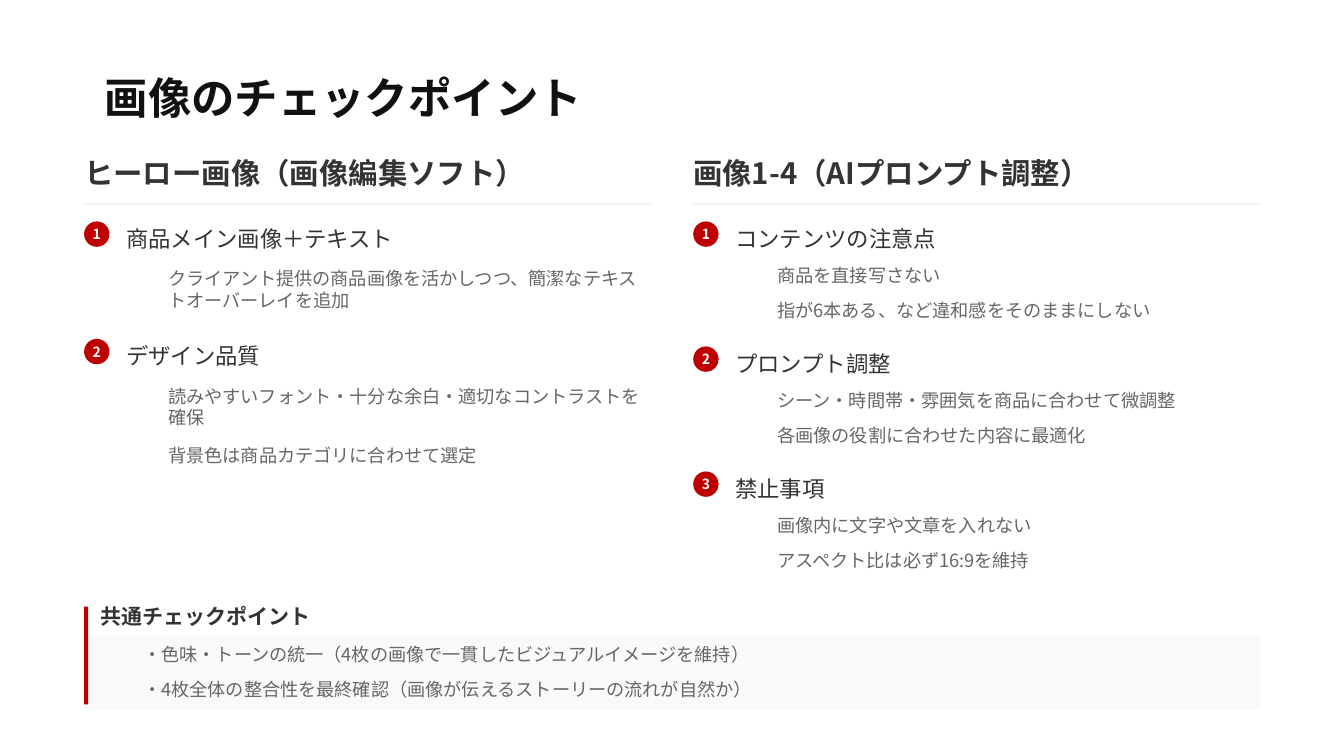
from lxml.etree import SubElement
from pptx import Presentation
from pptx.dml.color import RGBColor
from pptx.enum.shapes import MSO_SHAPE
from pptx.enum.text import MSO_ANCHOR, PP_ALIGN
from pptx.oxml.ns import qn
from pptx.util import Cm, Pt

FONT = "Noto Sans CJK JP"
WHITE = RGBColor(0xFF, 0xFF, 0xFF)
BLACK = RGBColor(0x11, 0x11, 0x11)
DARK = RGBColor(0x33, 0x33, 0x33)
GRAY = RGBColor(0x66, 0x66, 0x66)
RULE = RGBColor(0xF0, 0xF0, 0xF0)
PANEL = RGBColor(0xF9, 0xF9, 0xF9)
RED = RGBColor(0xBF, 0x00, 0x00)

MARGIN = 2.12
COLUMN_WIDTH = 14.28
COLUMN_PITCH = 15.35
INDENT = 1.06
DETAIL_SIZE = 13
DETAIL_MAX_WIDTH = 12.24
LINE_HEIGHT = 0.69
DETAIL_GAP = 0.19

COLUMNS = [
    ("ヒーロー画像（画像編集ソフト）", [
        ("商品メイン画像＋テキスト",
         ["クライアント提供の商品画像を活かしつつ、簡潔なテキストオーバーレイを追加"]),
        ("デザイン品質",
         ["読みやすいフォント・十分な余白・適切なコントラストを確保",
          "背景色は商品カテゴリに合わせて選定"]),
    ]),
    ("画像1-4（AIプロンプト調整）", [
        ("コンテンツの注意点",
         ["商品を直接写さない", "指が6本ある、など違和感をそのままにしない"]),
        ("プロンプト調整",
         ["シーン・時間帯・雰囲気を商品に合わせて微調整",
          "各画像の役割に合わせた内容に最適化"]),
        ("禁止事項",
         ["画像内に文字や文章を入れない", "アスペクト比は必ず16:9を維持"]),
    ]),
]
COMMON_CHECKS = [
    "・色味・トーンの統一（4枚の画像で一貫したビジュアルイメージを維持）",
    "・4枚全体の整合性を最終確認（画像が伝えるストーリーの流れが自然か）",
]


def text_width(text, size):
    """Return the width in centimetres of full-width text plus one character."""
    return (len(text) + 1) * size * 2.54 / 72


def write_text(shape, text, size=DETAIL_SIZE, color=GRAY, bold=False, align=PP_ALIGN.LEFT):
    """Fill a shape with one formatted, vertically centred paragraph."""
    frame = shape.text_frame
    frame.word_wrap = True
    frame.vertical_anchor = MSO_ANCHOR.MIDDLE
    frame.margin_left = frame.margin_right = frame.margin_top = frame.margin_bottom = 0
    paragraph = frame.paragraphs[0]
    paragraph.alignment = align
    run = paragraph.add_run()
    run.text = text
    run.font.name = FONT
    run.font.size = Pt(size)
    run.font.bold = bold
    run.font.color.rgb = color
    SubElement(run.font._element, qn("a:ea"), typeface=FONT)


def add_text(slide, text, left, top, height, width=None, size=DETAIL_SIZE, **style):
    """Add a text box, as wide as its text unless a width is given."""
    width = width or text_width(text, size)
    box = slide.shapes.add_textbox(Cm(left), Cm(top), Cm(width), Cm(height))
    write_text(box, text, size=size, **style)


def add_block(slide, left, top, width, height, color, kind=MSO_SHAPE.RECTANGLE):
    """Add a plain filled shape without outline or shadow."""
    shape = slide.shapes.add_shape(kind, Cm(left), Cm(top), Cm(width), Cm(height))
    shape.shadow.inherit = False
    shape.fill.solid()
    shape.fill.fore_color.rgb = color
    shape.line.fill.background()
    return shape


def add_item(slide, left, top, number, label, details):
    """Add a numbered item with its details and return the top of the next item."""
    badge = add_block(slide, left, top, 0.64, 0.64, RED, MSO_SHAPE.OVAL)
    write_text(badge, str(number), size=10, color=WHITE, bold=True, align=PP_ALIGN.CENTER)
    add_text(slide, label, left + INDENT, top, 0.85, size=16, color=DARK)
    top += 1.02
    for detail in details:
        natural_width = text_width(detail, DETAIL_SIZE)
        height = LINE_HEIGHT * (2 if natural_width > DETAIL_MAX_WIDTH else 1)
        add_text(slide, detail, left + 2 * INDENT, top, height,
                 width=min(natural_width, DETAIL_MAX_WIDTH))
        top += height + DETAIL_GAP
    return top + 0.37


def add_column(slide, left, top, heading, items):
    """Add a column with a one-line heading, a rule and its numbered items."""
    add_block(slide, left, top + 1.3, COLUMN_WIDTH, 0.05, RULE)
    add_text(slide, heading, left, top, 1.07, width=COLUMN_WIDTH,
             size=21, color=DARK, bold=True)
    item_top = top + 1.77
    for number, (label, details) in enumerate(items, 1):
        item_top = add_item(slide, left, item_top, number, label, details)


def add_common_checks(slide, left, top, width):
    """Add the shared checks on a light panel with a red bar."""
    add_block(slide, left, top + 0.74, width, 1.85, PANEL)
    add_block(slide, left, top, 0.1, 2.46, RED)
    add_text(slide, "共通チェックポイント", left + 0.42, top - 0.15, 0.76,
             size=15, color=DARK, bold=True)
    for row, check in enumerate(COMMON_CHECKS):
        add_text(slide, check, left + 1.49,
                 top + 0.86 + row * (LINE_HEIGHT + DETAIL_GAP), LINE_HEIGHT)


def main():
    """Build the slide and save the presentation."""
    presentation = Presentation()
    presentation.slide_width = Cm(33.87)
    presentation.slide_height = Cm(19.05)
    slide = presentation.slides.add_slide(presentation.slide_layouts[6])
    add_text(slide, "画像のチェックポイント", 2.64, 1.63, 1.63, size=31, color=BLACK, bold=True)
    for index, column in enumerate(COLUMNS):
        add_column(slide, MARGIN + index * COLUMN_PITCH, 3.81, *column)
    add_common_checks(slide, MARGIN, 15.29, COLUMN_PITCH + COLUMN_WIDTH)
    presentation.save("out.pptx")


if __name__ == "__main__":
    main()
